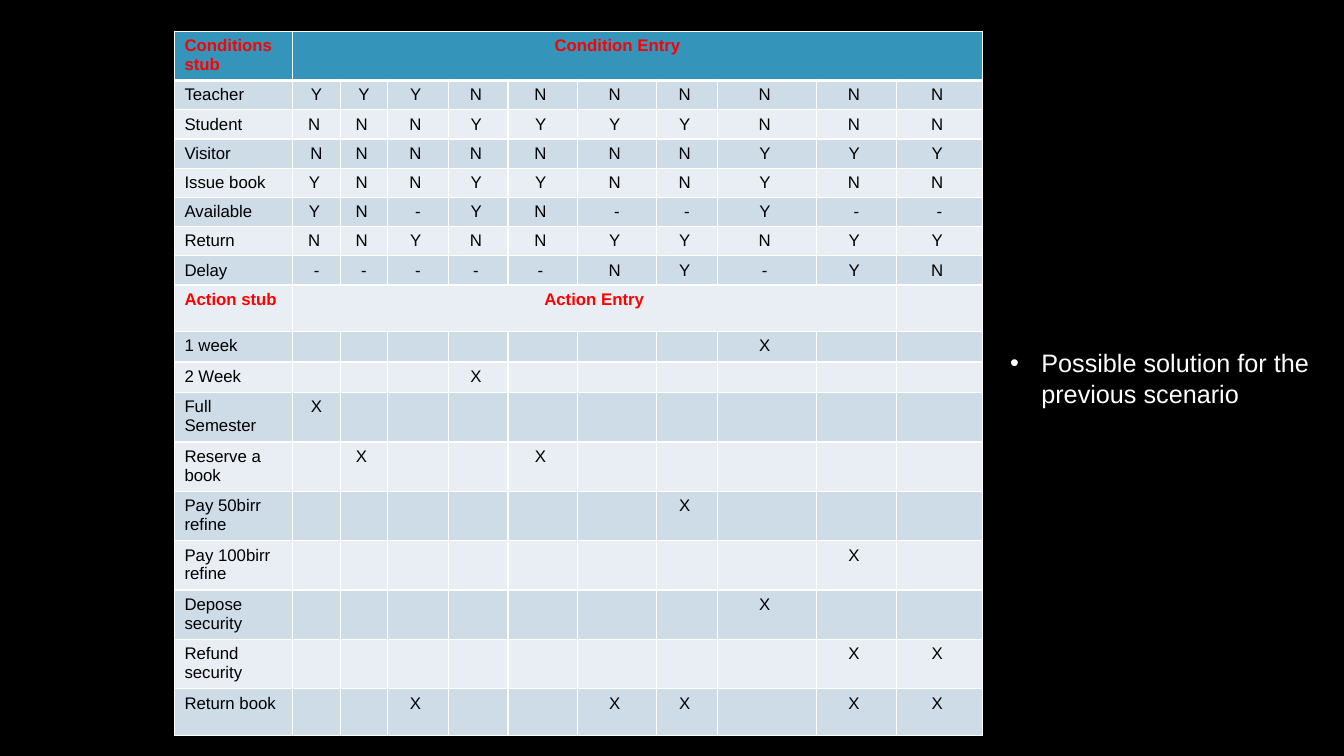
from lxml import etree
from pptx import Presentation
from pptx.dml.color import RGBColor
from pptx.enum import text
from pptx.oxml import ns
from pptx.util import Inches, Pt

BLACK = RGBColor(0x00, 0x00, 0x00)
WHITE = RGBColor(0xFF, 0xFF, 0xFF)
RED = RGBColor(0xFF, 0x00, 0x00)
HEADER_TEAL = RGBColor(0x34, 0x94, 0xBA)
BAND_DARK = RGBColor(0xCE, 0xDC, 0xE7)
BAND_LIGHT = RGBColor(0xE8, 0xEE, 0xF3)
FONT = "Arial"

COLUMN_WIDTHS = [1.17, 0.48, 0.46, 0.61, 0.59, 0.69, 0.78, 0.61, 0.98, 0.79, 0.86]
ONE_LINE, TWO_LINES, LAST_LINE = 0.29, 0.49, 0.46
ACTION_ROW = 8
ROWS = [
    (TWO_LINES, "Conditions stub|Condition Entry"),
    (ONE_LINE, "Teacher|Y|Y|Y |N |N |N |N |N |N |N "),
    (ONE_LINE, "Student|N |N |N |Y |Y |Y |Y |N |N |N "),
    (ONE_LINE, "Visitor|N|N |N |N |N |N |N |Y |Y |Y "),
    (ONE_LINE, "Issue book|Y |N |N |Y |Y |N |N |Y |N |N "),
    (ONE_LINE, "Available|Y |N |-|Y |N |-|-|Y |-|-"),
    (ONE_LINE, "Return|N |N |Y |N |N |Y |Y |N |Y |Y "),
    (ONE_LINE, "Delay|-|-|-|- |- |N |Y |- |Y |N "),
    (LAST_LINE, "Action stub|Action Entry"),
    (ONE_LINE, "1 week||||||||X "),
    (ONE_LINE, "2 Week||||X "),
    (TWO_LINES, "Full Semester|X"),
    (TWO_LINES, "Reserve a book||X |||X "),
    (TWO_LINES, "Pay 50birr refine|||||||X "),
    (TWO_LINES, "Pay 100birr refine|||||||||X "),
    (TWO_LINES, "Depose security||||||||X "),
    (TWO_LINES, "Refund security|||||||||X |X "),
    (LAST_LINE, "Return book|||X |||X |X ||X |X "),
]


def set_borders(cell, row_number):
    properties = cell._tc.get_or_add_tcPr()
    thick_edge = {0: "lnB", 1: "lnT"}.get(row_number)
    for edge in ("lnL", "lnR", "lnT", "lnB"):
        width = Pt(3) if edge == thick_edge else Pt(1)
        line = etree.SubElement(properties, ns.qn(f"a:{edge}"), w=str(width))
        fill = etree.SubElement(line, ns.qn("a:solidFill"))
        etree.SubElement(fill, ns.qn("a:srgbClr"), val=str(WHITE))


def format_font(font, size, color, bold=False):
    font.name = FONT
    font.size = Pt(size)
    font.color.rgb = color
    font.bold = bold


def fill_cell(cell, words, row_number, centered):
    set_borders(cell, row_number)
    cell.fill.solid()
    band = BAND_DARK if row_number % 2 else BAND_LIGHT
    cell.fill.fore_color.rgb = band if row_number else HEADER_TEAL
    para = cell.text_frame.paragraphs[0]
    if not words:
        etree.SubElement(para._p, ns.qn("a:endParaRPr"), sz="1200")
        return
    para.text = words
    para.alignment = text.PP_ALIGN.CENTER if centered else text.PP_ALIGN.LEFT
    heading = row_number in (0, ACTION_ROW)
    format_font(para.runs[0].font, 12, RED if heading else BLACK, heading)


def add_decision_table(page):
    frame = page.shapes.add_table(len(ROWS), len(COLUMN_WIDTHS), Inches(1.73),
                                  Inches(0.31), Inches(8.01), Inches(7.13))
    table = frame.table
    for column, width in zip(table.columns, COLUMN_WIDTHS):
        column.width = Inches(width)
    for row_number, (height, entries) in enumerate(ROWS):
        table.rows[row_number].height = Inches(height)
        words = entries.split("|")
        words += [""] * (len(COLUMN_WIDTHS) - len(words))
        for column_number, word in enumerate(words):
            centered = column_number > 0 and row_number > 0
            fill_cell(table.cell(row_number, column_number), word, row_number, centered)
    condition_entry = table.cell(0, 1)
    condition_entry.merge(table.cell(0, 10))
    condition_entry.margin_left = Inches(2.6)
    table.cell(ACTION_ROW, 1).merge(table.cell(ACTION_ROW, 9))


def add_bullet_note(page, words):
    box = page.shapes.add_textbox(Inches(9.92), Inches(3.4), Inches(3.41), Inches(0.71))
    box.text_frame.word_wrap = True
    box.text_frame.auto_size = text.MSO_AUTO_SIZE.SHAPE_TO_FIT_TEXT
    para = box.text_frame.paragraphs[0]
    para.text = words
    properties = para._p.get_or_add_pPr()
    properties.set("marL", str(Inches(0.31)))
    properties.set("indent", str(Inches(-0.31)))
    etree.SubElement(properties, ns.qn("a:buFont"), typeface=FONT)
    etree.SubElement(properties, ns.qn("a:buChar"), char="•")
    format_font(para.runs[0].font, 18, WHITE)


def main():
    deck = Presentation()
    deck.slide_width = Inches(13.33)
    deck.slide_height = Inches(7.5)
    page = deck.slides.add_slide(deck.slide_layouts[6])
    page.background.fill.solid()
    page.background.fill.fore_color.rgb = BLACK
    add_decision_table(page)
    add_bullet_note(page, "Possible solution for the previous scenario")
    deck.save("out.pptx")


if __name__ == "__main__":
    main()
